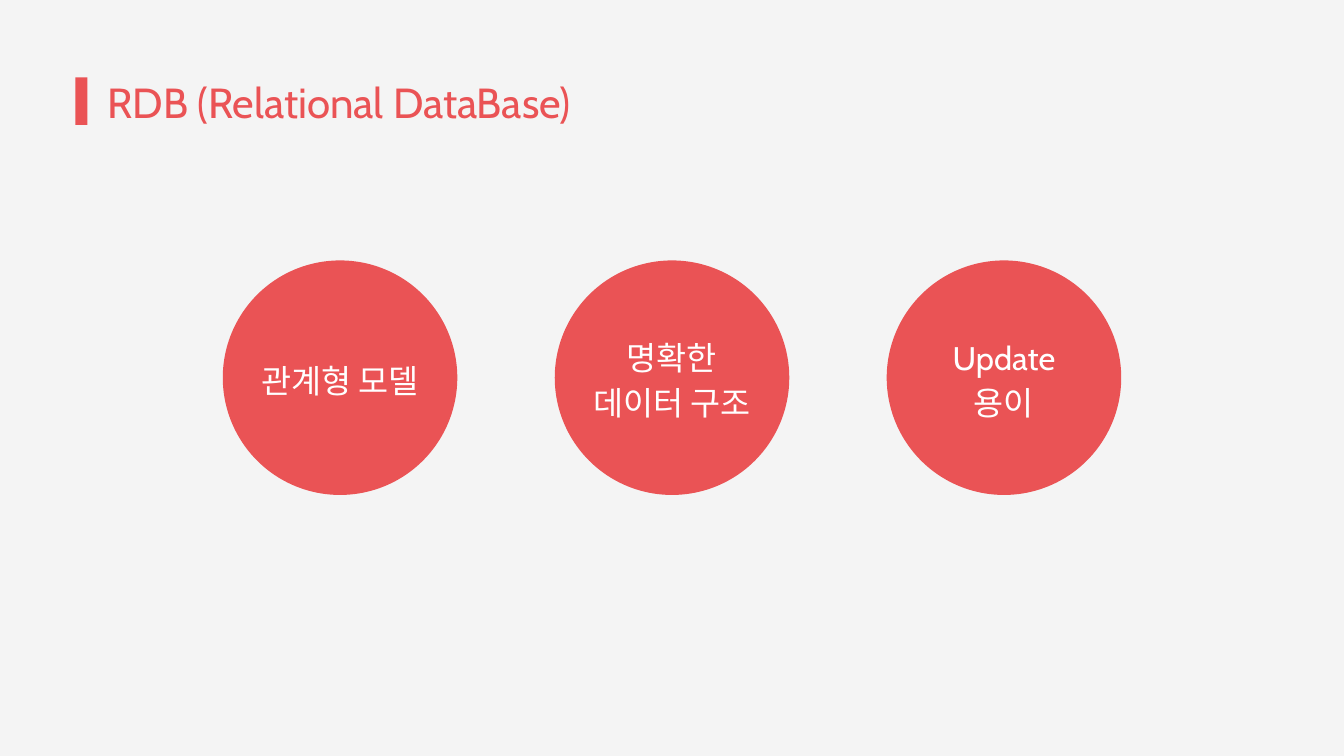
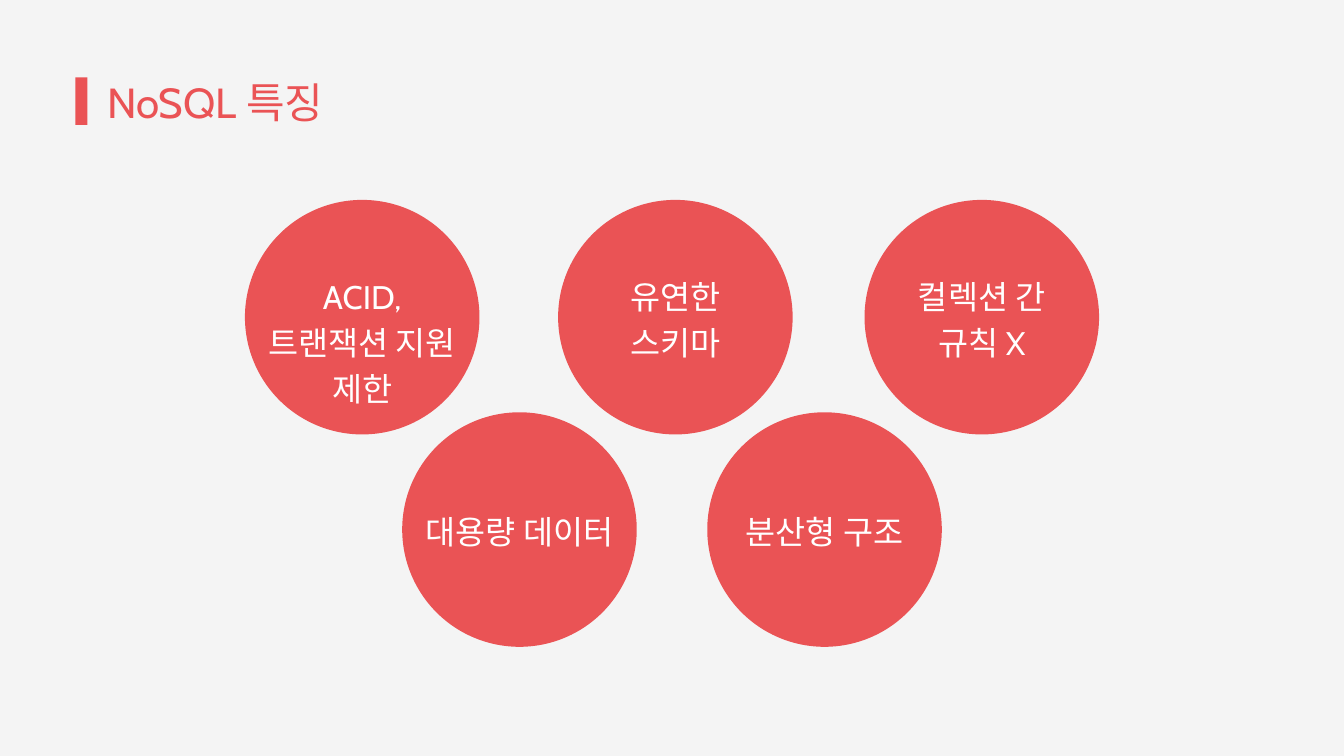
import pptx
import pptx.dml.color
import pptx.enum.shapes
import pptx.enum.text
import pptx.util

Inches = pptx.util.Inches
Pt = pptx.util.Pt
SHAPE = pptx.enum.shapes.MSO_SHAPE
ALIGN = pptx.enum.text.PP_ALIGN


def fill(target, color):
    target.solid()
    target.fore_color.rgb = pptx.dml.color.RGBColor.from_string(color)


class Deck:
    """Hold the shared style and the slide being built."""

    RED, WHITE, PAPER = "EA5355", "FFFFFF", "F4F4F4"
    FONT = "Cabin"
    DIAMETER = 3.49

    def __init__(self):
        self.prs = pptx.Presentation()
        self.prs.slide_width = Inches(20)
        self.prs.slide_height = Inches(11.25)
        fill(self.prs.slide_master.background.fill, self.PAPER)

    def add_slide(self, title):
        self.s = self.prs.slides.add_slide(self.prs.slide_layouts[5])
        self.shape(SHAPE.RECTANGLE, 1.12, 1.15, 0.18, 0.71)
        sp = self.s.shapes.title
        sp.left, sp.top = Inches(1.6), Inches(1.08)
        sp.width, sp.height = Inches(8.65), Inches(0.79)
        self.set_text(sp, title, 45, 58.5, self.RED, ALIGN.LEFT)

    def shape(self, kind, x, y, w, h):
        sp = self.s.shapes.add_shape(kind, Inches(x), Inches(y), Inches(w), Inches(h))
        sp.shadow.inherit = False
        fill(sp.fill, self.RED)
        sp.line.fill.background()

    def set_text(self, sp, text, size, spacing, color, align):
        tf = sp.text_frame
        tf.text = text
        tf.word_wrap = True
        tf.auto_size = pptx.enum.text.MSO_AUTO_SIZE.NONE
        tf.vertical_anchor = pptx.enum.text.MSO_ANCHOR.TOP
        tf.margin_left = tf.margin_top = tf.margin_right = tf.margin_bottom = 0
        for p in tf.paragraphs:
            p.alignment = align
            p.line_spacing = Pt(spacing)
            for r in p.runs:
                r.font.name = self.FONT
                r.font.size = Pt(size)
                fill(r.font.fill, color)

    def circle(self, cx, cy, text, width=2.84, rows=1):
        d = self.DIAMETER
        self.shape(SHAPE.OVAL, cx - d / 2, cy - d / 2, d, d)
        h = 0.65 + 0.68 * (rows - 1)
        sp = self.s.shapes.add_textbox(
            Inches(cx - width / 2), Inches(cy - 0.03 - h / 2), Inches(width), Inches(h))
        self.set_text(sp, text, 35, 49, self.WHITE, ALIGN.CENTER)


def main():
    deck = Deck()

    deck.add_slide("RDB (Relational DataBase)")
    traits = [("관계형 모델", 2.84, 1), ("명확한\n데이터 구조", 2.98, 2), ("Update\n용이", 2.25, 2)]
    for i, trait in enumerate(traits):
        deck.circle(10 + (i - 1) * 4.94, 5.62, *trait)

    deck.add_slide("NoSQL 특징")
    top_row = [
        (5.39, "ACID, 트랜잭션 지원 제한", 2.84),
        (10.05, "유연한\n스키마", 2.98),
        (14.61, "컬렉션 간\n규칙 X", 2.25),
    ]
    for cx, text, width in top_row:
        deck.circle(cx, 4.72, text, width, rows=2)
    for side, text in [(-1, "대용량 데이터"), (1, "분산형 구조")]:
        deck.circle(10 + side * 2.27, 7.88, text)

    deck.prs.save("out.pptx")


if __name__ == "__main__":
    main()
